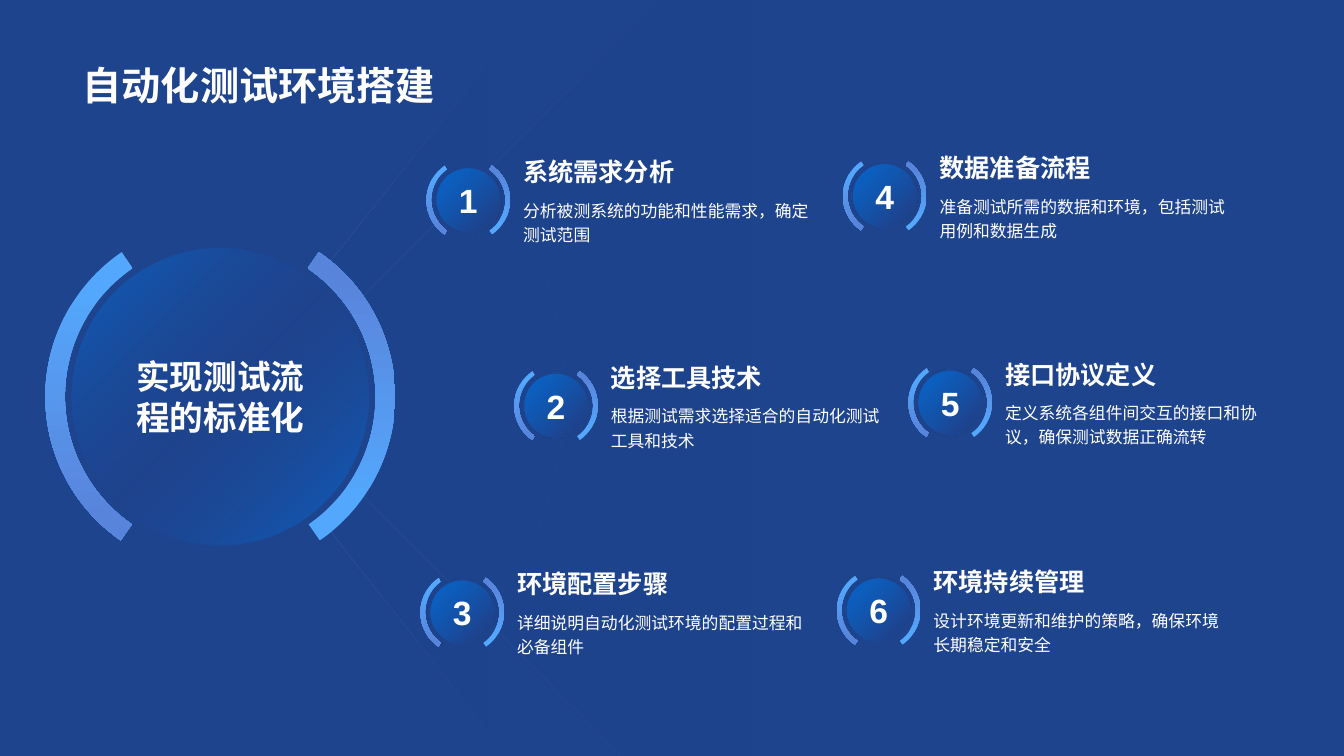
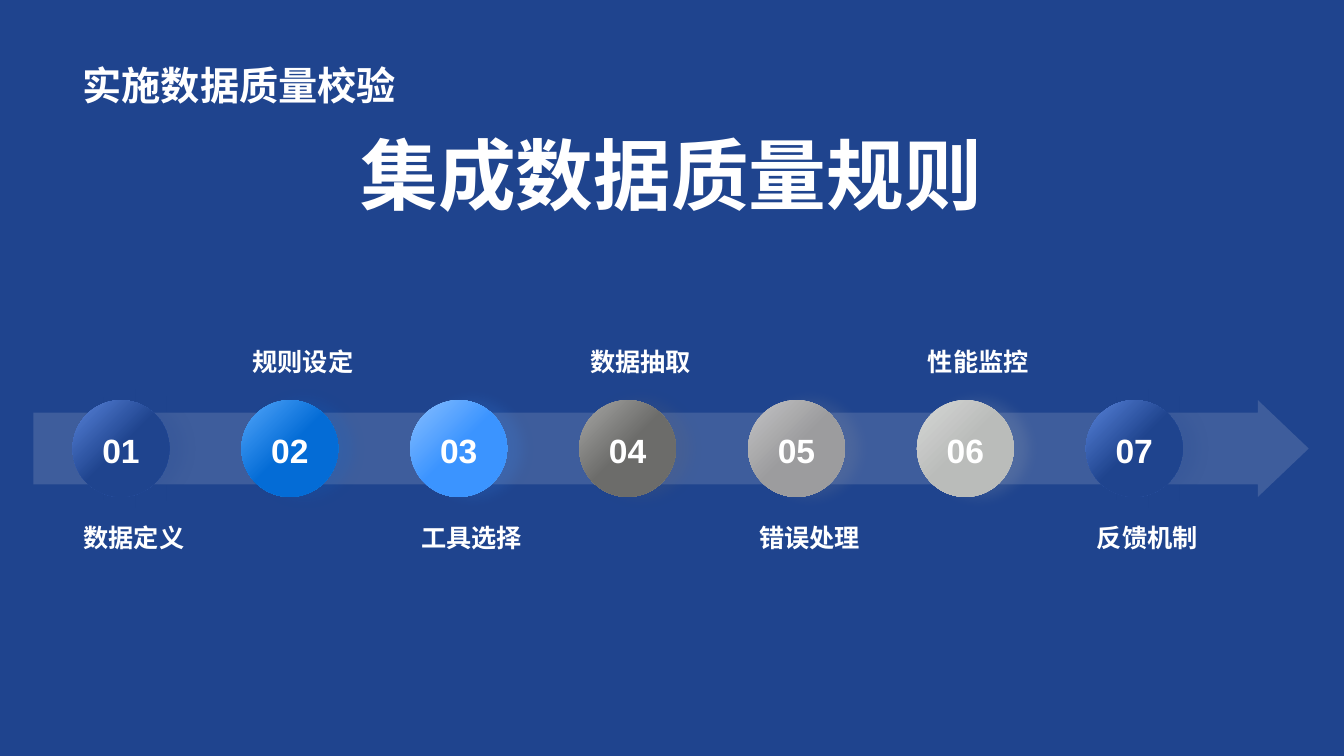
from math import cos, radians, sin

from lxml.etree import SubElement
from pptx import Presentation
from pptx.dml.color import RGBColor
from pptx.enum.lang import MSO_LANGUAGE_ID
from pptx.enum.shapes import MSO_SHAPE
from pptx.enum.text import MSO_ANCHOR, PP_ALIGN
from pptx.oxml.ns import qn
from pptx.util import Inches, Pt

# Shared look
NAVY, BLUE, SKY, VIOLET, WHITE = "1F448E", "046CD6", "53A7FC", "5984DB", "FFFFFF"
FONT = "Arial"
MARGIN, CONTENT_W = 0.72, 11.88
TOP, MIDDLE, BOTTOM = MSO_ANCHOR.TOP, MSO_ANCHOR.MIDDLE, MSO_ANCHOR.BOTTOM
LEFT, CENTER = PP_ALIGN.LEFT, PP_ALIGN.CENTER


def rgb(value):
    return RGBColor.from_string(value)


def inches(*values):
    return [Inches(v) for v in values]


def add_color(parent, color, alpha=100):
    clr = SubElement(parent, qn("a:srgbClr"), val=color)
    if alpha < 100:
        SubElement(clr, qn("a:alpha"), val=str(alpha * 1000))


def paint(sp, color, alpha=100):
    sp.fill.solid()
    sp.fill.fore_color.rgb = rgb(color)
    if alpha < 100:
        clr = sp._element.spPr.find(qn("a:solidFill"))[0]
        SubElement(clr, qn("a:alpha"), val=str(alpha * 1000))


def paint_gradient(sp, stops, angle):
    """Fill with (position, colour, alpha) stops; the angle runs clockwise."""
    sp.fill.background()
    spPr = sp._element.spPr
    old = spPr.find(qn("a:noFill"))
    grad = SubElement(spPr, qn("a:gradFill"), rotWithShape="1")
    spPr.replace(old, grad)
    gs_list = SubElement(grad, qn("a:gsLst"))
    for pos, *color in stops:
        add_color(SubElement(gs_list, qn("a:gs"), pos=str(pos * 1000)), *color)
    SubElement(grad, qn("a:lin"), ang=str(angle * 60000), scaled="0")


def draw_line(sp, color, width):
    sp.line.color.rgb = rgb(color)
    sp.line.width = Pt(width)


def cast_shadow(sp, color, alpha=15, blur=10, distance=10):
    effects = sp._element.spPr.find(qn("a:effectLst"))
    shadow = SubElement(effects, qn("a:outerShdw"), blurRad=str(Pt(blur)),
                        dist=str(Pt(distance)), dir="0", algn="ctr",
                        rotWithShape="0")
    add_color(shadow, color, alpha)


def write(sp, text, size, bold=True, anchor=TOP, align=LEFT, spacing=None,
          wrap=True, inset=None):
    tf = sp.text_frame
    frame = {"word_wrap": wrap, "vertical_anchor": anchor}
    if inset is not None:
        sides = ("left", "top", "right", "bottom")
        frame.update({f"margin_{side}": Inches(inset) for side in sides})
    p = tf.paragraphs[0]
    r = p.add_run()
    r.text = text
    formats = (
        (tf, frame),
        (p, {"alignment": align, "line_spacing": spacing}),
        (r.font, {"name": FONT, "size": Pt(size), "bold": bold,
                  "language_id": MSO_LANGUAGE_ID.SIMPLIFIED_CHINESE}),
    )
    for target, values in formats:
        for name, value in values.items():
            setattr(target, name, value)
    r.font.color.rgb = rgb(WHITE)
    latin = r._r.rPr.find(qn("a:latin"))
    latin.addnext(SubElement(r._r.rPr, qn("a:ea"), typeface=FONT))


def add_text(s, box, text, size, **fmt):
    write(s.shapes.add_textbox(*inches(*box)), text, size, **fmt)


def add_shape(s, kind, box, adjustments=()):
    sp = s.shapes.add_shape(kind, *inches(*box))
    for i, value in enumerate(adjustments):
        sp.adjustments[i] = value
    sp.line.fill.background()
    sp.shadow.inherit = False
    return sp


def add_slide(prs, title):
    s = prs.slides.add_slide(prs.slide_layouts[5])
    write(s.shapes.title, title, 28, anchor=BOTTOM)
    return s


# Faint beams spreading from the hub, each with a round notch
def add_beam(s, outline, half_angle, alpha):
    cx, cy, radius, steps = 2.37, 3.93, 1.41, 16
    angles = [radians(half_angle * (1 - 2 * i / steps)) for i in range(steps + 1)]
    notch = [(cx + radius * cos(a), cy + radius * sin(a)) for a in angles]
    points = [inches(*point) for point in outline + notch]
    builder = s.shapes.build_freeform(*points[0], scale=1.0)
    builder.add_line_segments(points[1:], close=True)
    sp = builder.convert_to_shape()
    sp.line.fill.background()
    sp.shadow.inherit = False
    paint_gradient(sp, [(0, NAVY, alpha), (100, NAVY, 0)], 0)


def add_orbit(s, box, end):
    sp = add_shape(s, MSO_SHAPE.ARC, box, (171.66, end))
    sp.fill.background()
    draw_line(sp, NAVY, 2)


def add_beams(s):
    add_orbit(s, (4.49, 0.89, 5.02, 6.16), 37.06)
    add_beam(s, [(3.31, 2.89), (3.26, 2.62), (4.87, 0.59), (4.87, 7.28),
                 (3.26, 5.24), (3.31, 4.98)], 45.5, 31)
    add_beam(s, [(3.48, 3.07), (6.53, 0), (7.53, 0), (7.53, 7.5),
                 (6.17, 7.5), (3.48, 4.79)], 34.6, 25)
    add_orbit(s, (0.58, 0.89, 5.02, 6.02), 47.42)


# Disc between two gradient brackets
def add_badge(s, x, y, size, disc_share, stops, text, inset=None):
    for flipped, angle in ((False, 270), (True, 90)):
        bracket = add_shape(s, MSO_SHAPE.BLOCK_ARC, (x, y, size, size),
                            (182.57, 33.19, 0.056))
        if flipped:
            bracket._element.spPr.xfrm.set("flipH", "1")
        paint_gradient(bracket, [(20, SKY), (85, VIOLET)], angle)
    disc = size * disc_share
    gap = (size - disc) / 2
    sp = add_shape(s, MSO_SHAPE.OVAL, (x + gap, y + gap, disc, disc))
    paint_gradient(sp, stops, 45)
    draw_line(sp, NAVY, 1)
    write(sp, text, 24, anchor=MIDDLE, align=CENTER, inset=inset)


# Numbered badge with heading and description
def add_item(s, x, y, width, number, heading, detail):
    add_badge(s, x, y, 0.83, 0.78, [(0, BLUE, 90), (80, NAVY)], str(number), inset=0)
    text_x, split_y = x + 0.86, y + 0.33
    add_text(s, (text_x, split_y - 0.76, width, 0.76), heading, 18, anchor=BOTTOM)
    add_text(s, (text_x, split_y, width, 0.84), detail, 12, bold=False, spacing=1.2)


def build_hub_slide(prs):
    s = add_slide(prs, "自动化测试环境搭建")
    add_beams(s)
    add_badge(s, 0.45, 2.2, 3.47, 0.855,
              [(10, BLUE, 50), (50, NAVY, 10), (90, BLUE, 50)],
              "实现测试流程的标准化")
    items = (
        (4.23, 1.57, 3.19, "系统需求分析", "分析被测系统的功能和性能需求，确定测试范围"),
        (5.1, 3.61, 2.95, "选择工具技术", "根据测试需求选择适合的自动化测试工具和技术"),
        (4.17, 5.66, 3.19, "环境配置步骤", "详细说明自动化测试环境的配置过程和必备组件"),
        (8.36, 1.53, 3.19, "数据准备流程", "准备测试所需的数据和环境，包括测试用例和数据生成"),
        (9.01, 3.58, 2.72, "接口协议定义", "定义系统各组件间交互的接口和协议，确保测试数据正确流转"),
        (8.3, 5.64, 3.19, "环境持续管理", "设计环境更新和维护的策略，确保环境长期稳定和安全"),
    )
    for number, (x, y, width, heading, detail) in enumerate(items, 1):
        add_item(s, x, y, width, number, heading, detail)


# Timeline: discs on an arrow, labels alternating below and above
def add_timeline(s, x, y, pitch, disc, steps):
    arrow = add_shape(s, MSO_SHAPE.RIGHT_ARROW, (0.33, y, 12.65, disc), (0.744, 0.525))
    paint(arrow, "F0F0F0", 15)
    label_w, label_h = 1.81, 1.14
    for i, (label, light, dark) in enumerate(steps):
        left = x + i * pitch
        above = i % 2 == 1
        label_y = y - 0.19 - label_h if above else y + disc + 0.2
        box = add_shape(s, MSO_SHAPE.ROUNDED_RECTANGLE,
                        (left + 0.01, label_y, label_w, label_h), (0,))
        box.fill.background()
        write(box, label, 18, anchor=BOTTOM if above else TOP)
        sp = add_shape(s, MSO_SHAPE.ROUNDED_RECTANGLE, (left, y, disc, disc), (0.5,))
        paint_gradient(sp, [(0, light), (50, dark)], 45)
        cast_shadow(sp, dark)
        write(sp, f"{i + 1:02d}", 24, anchor=MIDDLE, align=CENTER,
              spacing=1.1, wrap=False)


def build_timeline_slide(prs):
    s = add_slide(prs, "实施数据质量校验")
    add_text(s, (MARGIN, 1.24, CONTENT_W, 0.96), "集成数据质量规则", 55.5,
             anchor=MIDDLE, align=CENTER, wrap=False)
    add_timeline(s, MARGIN, 3.97, 1.675, 0.96, (
        ("数据定义", VIOLET, NAVY),
        ("规则设定", SKY, BLUE),
        ("工具选择", "89BFFF", "3B94FF"),
        ("数据抽取", "A7A7A5", "6C6C6A"),
        ("错误处理", "C4C4C5", "9C9C9E"),
        ("性能监控", "D6D7D6", "BABCBA"),
        ("反馈机制", VIOLET, NAVY),
    ))


def main():
    prs = Presentation()
    prs.slide_width, prs.slide_height = inches(13.33, 7.5)
    # Background and title position are inherited by every slide
    fill = prs.slide_master.background.fill
    fill.solid()
    fill.fore_color.rgb = rgb(NAVY)
    title = prs.slide_layouts[5].placeholders[0]
    title.left, title.top, title.width, title.height = inches(MARGIN, 0.15, CONTENT_W, 0.98)
    build_hub_slide(prs)
    build_timeline_slide(prs)
    prs.save("out.pptx")


if __name__ == "__main__":
    main()
